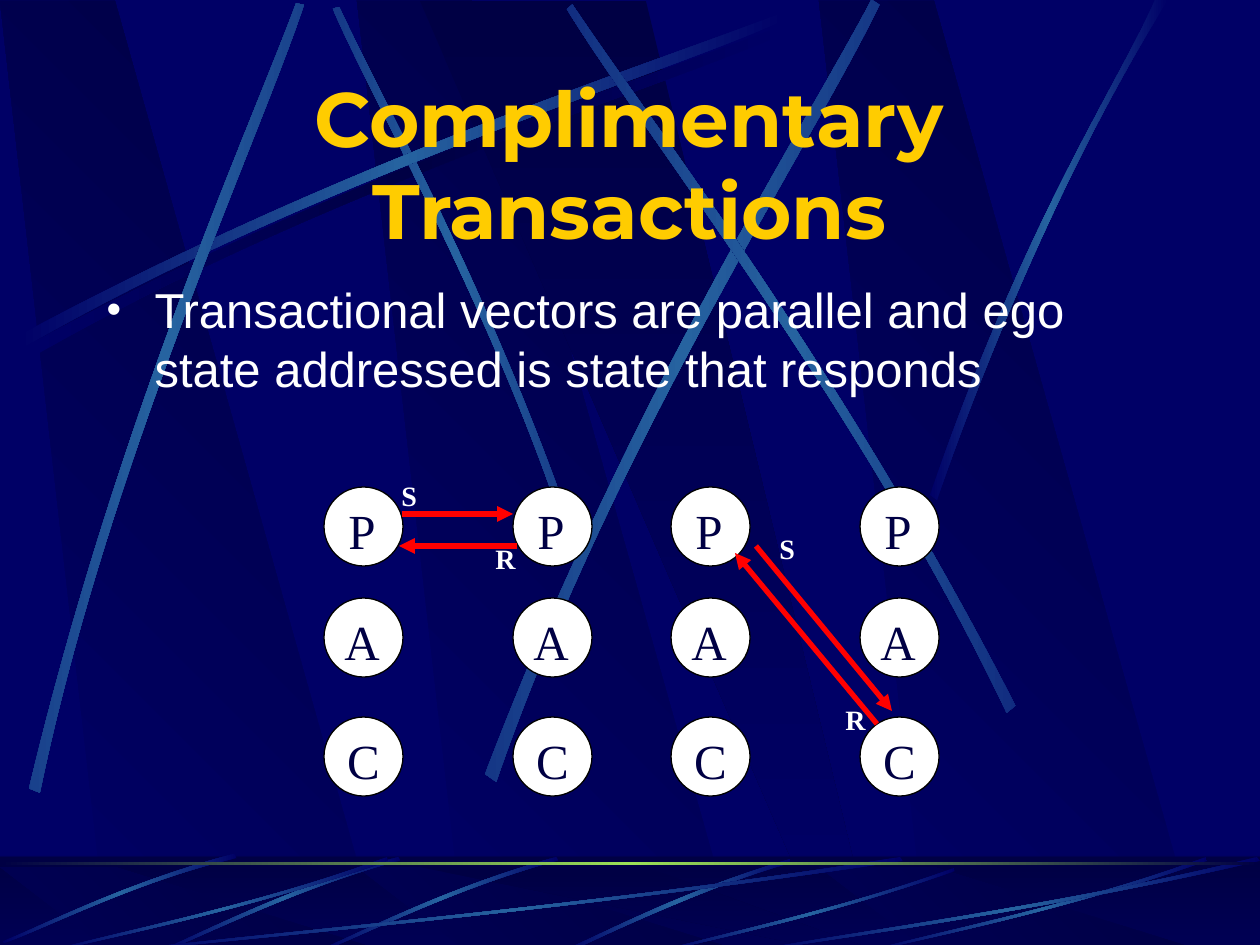
import math
from dataclasses import dataclass

from pptx import Presentation
from pptx import util as u
from pptx.dml.color import RGBColor
from pptx.enum import shapes, text
from pptx.oxml import parse_xml
from pptx.oxml.ns import nsdecls, qn

PX = 7257.14  # EMU in one px, 126 px to the inch
WIDTH, HEIGHT = 1260, 945


@dataclass(frozen=True)
class Theme:
    navy: str = "000066"
    dark: str = "000044"
    beam: str = "2663A0"
    glow: str = "9CE157"
    gold: str = "FFCC00"
    white: str = "FFFFFF"
    black: str = "000000"
    red: str = "FF0000"
    title_font: str = "Montserrat"
    body_font: str = "Arial"
    diagram_font: str = "Times New Roman"
    title_size: int = 44
    body_size: int = 28
    label_size: int = 16


THEME = Theme()

TITLE = "Complimentary Transactions"
BODY = "Transactional vectors are parallel and ego state addressed is state that responds"
EGO_STATES = [("P", 487, 3), ("A", 598, 3), ("C", 717, 0)]  # letter, top, right margin
PERSON_LEFTS = [324, 513, 671, 860]
CIRCLE = 79
ARROWS = [(402, 514, 513, 514), (517, 546, 399, 546),
          (877, 724, 735, 553), (756, 546, 892, 711)]
LABELS = [("S", 389, 472), ("R", 483, 535), ("R", 833, 696), ("S", 767, 525)]
LABEL_BOX = 59

# Background panels: slanted ones repeat at each left, in both bands (top, bottom)
BANDS = [(1, 946), (867, 950)]
PANEL_LEFTS = [357, 0, 819]
SLANT_X = (108, 381, 115, 0)
WEDGE_X = (829, 874, 646, 420)

# Streaks: two curved edges, rotation in degrees, pivot of that rotation
UPPER_STREAKS = [
    ([(580, 549), (493, 295), (381, 97), (339, 6)],
     [(333, 9), (372, 100), (501, 325), (572, 553)], 45, (456, 280)),
    ([(18, 336), (350, 158), (653, 64), (781, 13)],
     [(785, 20), (658, 77), (312, 180), (21, 349)], 0, (0, 0)),
    ([(29, 788), (117, 421), (248, 132), (296, 3)],
     [(304, 5), (261, 136), (108, 464), (40, 793)], 311.7, (168, 398)),
    ([(485, 774), (627, 403), (804, 129), (872, 0)],
     [(879, 5), (818, 136), (612, 447), (496, 782)], 321.6, (684, 391)),
    ([(1016, 706), (844, 369), (650, 120), (573, 5)],
     [(567, 9), (639, 127), (863, 410), (1007, 713)], 34.8, (790, 360)),
    ([(930, 495), (1026, 218), (1119, 83), (1155, 0)],
     [(1168, 0), (1053, 183), (969, 406), (937, 500)], 0, (0, 0)),
]
SHADOW_OFFSET = (8, 10)
LOWER_STREAKS = [
    ([(790, 859), (677, 893), (601, 935), (564, 950)],
     [(571, 951), (617, 929), (719, 882), (791, 863)], 0, (0, 0)),
    ([(557, 857), (447, 888), (362, 932), (323, 949)],
     [(324, 951), (363, 936), (460, 886), (559, 861)], 314.9, (441, 904)),
    ([(399, 857), (289, 888), (204, 932), (165, 949)],
     [(166, 951), (205, 936), (302, 886), (401, 861)], 314.9, (283, 904)),
    ([(234, 853), (125, 882), (42, 925), (3, 940)],
     [(4, 942), (43, 929), (139, 879), (237, 857)], 314.9, (119, 899)),
    ([(903, 861), (566, 911), (260, 937), (130, 951)],
     [(126, 950), (255, 934), (605, 905), (900, 857)], 0, (0, 0)),
    ([(388, 861), (243, 911), (111, 937), (54, 951)],
     [(53, 950), (108, 934), (260, 905), (387, 857)], 0, (0, 0)),
    ([(955, 871), (829, 915), (714, 939), (665, 951)],
     [(664, 950), (712, 936), (843, 909), (954, 868)], 0, (0, 0)),
    ([(1207, 861), (1062, 911), (930, 937), (873, 951)],
     [(872, 950), (927, 934), (1079, 905), (1206, 857)], 0, (0, 0)),
    ([(1260, 861), (1042, 911), (843, 937), (759, 951)],
     [(756, 950), (839, 934), (1066, 905), (1257, 857)], 0, (0, 0)),
]


def emu(*lengths):
    return [u.Emu(round(length * PX)) for length in lengths]


def rgb(code):
    return RGBColor.from_string(code)


def fill_gradient(shape, colours, angle):
    """Spread the colours evenly along a clockwise angle in degrees."""
    shape.fill.gradient()
    stops = "".join(
        f'<a:gs pos="{100000 * i // (len(colours) - 1)}"><a:srgbClr val="{c}"/></a:gs>'
        for i, c in enumerate(colours))
    properties = shape.element.spPr
    properties.replace(properties.find(qn("a:gradFill")), parse_xml(
        f'<a:gradFill rotWithShape="0" {nsdecls("a")}><a:gsLst>{stops}</a:gsLst>'
        f'<a:lin ang="{angle * 60000}" scaled="0"/></a:gradFill>'))


def add_outline(slide, points, colours, angle):
    builder = slide.shapes.build_freeform(*points[0], scale=PX)
    builder.add_line_segments(points[1:], close=True)
    outline = builder.convert_to_shape()
    outline.shadow.inherit = False
    outline.line.fill.background()
    fill_gradient(outline, colours, angle)
    return outline


def add_shape(slide, kind, *place):
    shape = slide.shapes.add_shape(kind, *emu(*place))
    shape.shadow.inherit = False
    shape.line.fill.background()
    return shape


def bend_edges(outline):
    """Turn the two runs of three line segments into cubic curves."""
    segments = list(outline.element.iter(qn("a:lnTo")))
    for run in (segments[0:3], segments[4:7]):
        bend = parse_xml(f'<a:cubicBezTo {nsdecls("a")}/>')
        run[0].addprevious(bend)
        for segment in run:
            bend.append(segment[0])
            segment.getparent().remove(segment)


def add_streak(slide, first_edge, second_edge, rotation, pivot, colour=THEME.beam, offset=(0, 0)):
    """Lay the streak flat about its pivot, then let the shape's rotation turn it back."""
    cos, sin = math.cos(math.radians(rotation)), math.sin(math.radians(rotation))
    points = []
    for x, y in first_edge + second_edge:
        dx, dy = x - pivot[0], y - pivot[1]
        points.append((pivot[0] + dx * cos + dy * sin + offset[0],
                       pivot[1] + dy * cos - dx * sin + offset[1]))
    streak = add_outline(slide, points, (THEME.navy, colour, THEME.navy), 0)
    bend_edges(streak)
    streak.rotation = rotation


def add_panels(slide, top, bottom):
    heights = (bottom, bottom, top, top)
    for left in PANEL_LEFTS:
        corners = [(left + x, y) for x, y in zip(SLANT_X, heights)]
        add_outline(slide, corners, (THEME.navy, THEME.dark), 315)
    add_outline(slide, list(zip(WEDGE_X, heights)), (THEME.dark, THEME.navy), 90)


def add_background(slide):
    slide.background.fill.solid()
    slide.background.fill.fore_color.rgb = rgb(THEME.navy)
    rectangle = shapes.MSO_SHAPE.RECTANGLE
    add_panels(slide, *BANDS[0])
    add_streak(slide, *UPPER_STREAKS[1], colour=THEME.dark, offset=SHADOW_OFFSET)
    for streak in UPPER_STREAKS:
        add_streak(slide, *streak)

    floor = add_shape(slide, rectangle, 0, 857, WIDTH, HEIGHT - 857)
    fill_gradient(floor, (THEME.dark, THEME.navy), 90)
    add_panels(slide, *BANDS[1])
    shade = add_shape(slide, rectangle, 0, 856, WIDTH, HEIGHT - 856)
    shade.fill.solid()
    shade.fill.fore_color.rgb = rgb(THEME.dark)
    colour = shade.element.spPr.find(".//" + qn("a:srgbClr"))
    colour.append(parse_xml(f'<a:alpha val="50000" {nsdecls("a")}/>'))
    for streak in LOWER_STREAKS:
        add_streak(slide, *streak)
    horizon = add_shape(slide, rectangle, 0, 862, WIDTH, 3)
    fill_gradient(horizon, (THEME.dark, THEME.glow, THEME.dark), 0)


def write(shape, words, font, size, colour, bold=False, align=text.PP_ALIGN.LEFT,
          anchor=text.MSO_ANCHOR.TOP):
    frame = shape.text_frame
    frame.text = words
    frame.word_wrap = True
    frame.auto_size = text.MSO_AUTO_SIZE.NONE
    frame.vertical_anchor = anchor
    para = frame.paragraphs[0]
    para.alignment = align
    para.space_before = u.Pt(0)
    span = para.runs[0].font
    span.name, span.size, span.bold = font, u.Pt(size), bold
    span.color.rgb = rgb(colour)
    return para


def place_placeholder(holder, *place):
    holder.left, holder.top, holder.width, holder.height = emu(*place)
    holder.element.getparent().append(holder.element)  # in front of the background


def add_bullet(para):
    properties = para._p.get_or_add_pPr()
    indent = round(48 * PX)
    properties.set("marL", str(indent))
    properties.set("indent", str(-indent))
    for item in (f'<a:buClr {nsdecls("a")}><a:srgbClr val="{THEME.white}"/></a:buClr>',
                 f'<a:buSzPct val="85000" {nsdecls("a")}/>',
                 f'<a:buFont typeface="{THEME.body_font}" {nsdecls("a")}/>',
                 f'<a:buChar char="•" {nsdecls("a")}/>'):
        properties.append(parse_xml(item))


def add_ego_state(slide, left, letter, top, right_margin):
    circle = add_shape(slide, shapes.MSO_SHAPE.OVAL, left, top, CIRCLE, CIRCLE)
    circle.fill.solid()
    circle.fill.fore_color.rgb = rgb(THEME.white)
    circle.line.color.rgb = rgb(THEME.black)
    circle.line.width = u.Pt(0.75)
    write(circle, letter, THEME.diagram_font, THEME.body_size, THEME.dark,
          align=text.PP_ALIGN.CENTER, anchor=text.MSO_ANCHOR.MIDDLE)
    frame = circle.text_frame
    (frame.margin_left, frame.margin_top,
     frame.margin_right, frame.margin_bottom) = emu(0, 6, right_margin, 0)


def add_arrow(slide, *ends):
    arrow = slide.shapes.add_connector(shapes.MSO_CONNECTOR.STRAIGHT, *emu(*ends))
    arrow.line.color.rgb = rgb(THEME.red)
    arrow.line.width = u.Pt(3)
    arrow.line._get_or_add_ln().append(parse_xml(f'<a:tailEnd type="triangle" {nsdecls("a")}/>'))
    arrow.element.spPr.append(parse_xml(f'<a:effectLst {nsdecls("a")}/>'))


def main():
    deck = Presentation()
    deck.slide_width, deck.slide_height = emu(WIDTH, HEIGHT)
    slide = deck.slides.add_slide(deck.slide_layouts[1])
    add_background(slide)

    title, body = slide.placeholders
    place_placeholder(title, 94, 64, 1071, 198)
    write(title, TITLE, THEME.title_font, THEME.title_size, THEME.gold, bold=True,
          align=text.PP_ALIGN.CENTER, anchor=text.MSO_ANCHOR.MIDDLE)
    place_placeholder(body, 94, 273, 1071, 136)
    add_bullet(write(body, BODY, THEME.body_font, THEME.body_size, THEME.white))

    for left in PERSON_LEFTS:
        for ego_state in EGO_STATES:
            add_ego_state(slide, left, *ego_state)
    for ends in ARROWS:
        add_arrow(slide, *ends)
    for letter, left, top in LABELS:
        box = slide.shapes.add_textbox(*emu(left, top, LABEL_BOX, LABEL_BOX))
        write(box, letter, THEME.diagram_font, THEME.label_size, THEME.white, bold=True)
    deck.save("out.pptx")


if __name__ == "__main__":
    main()
